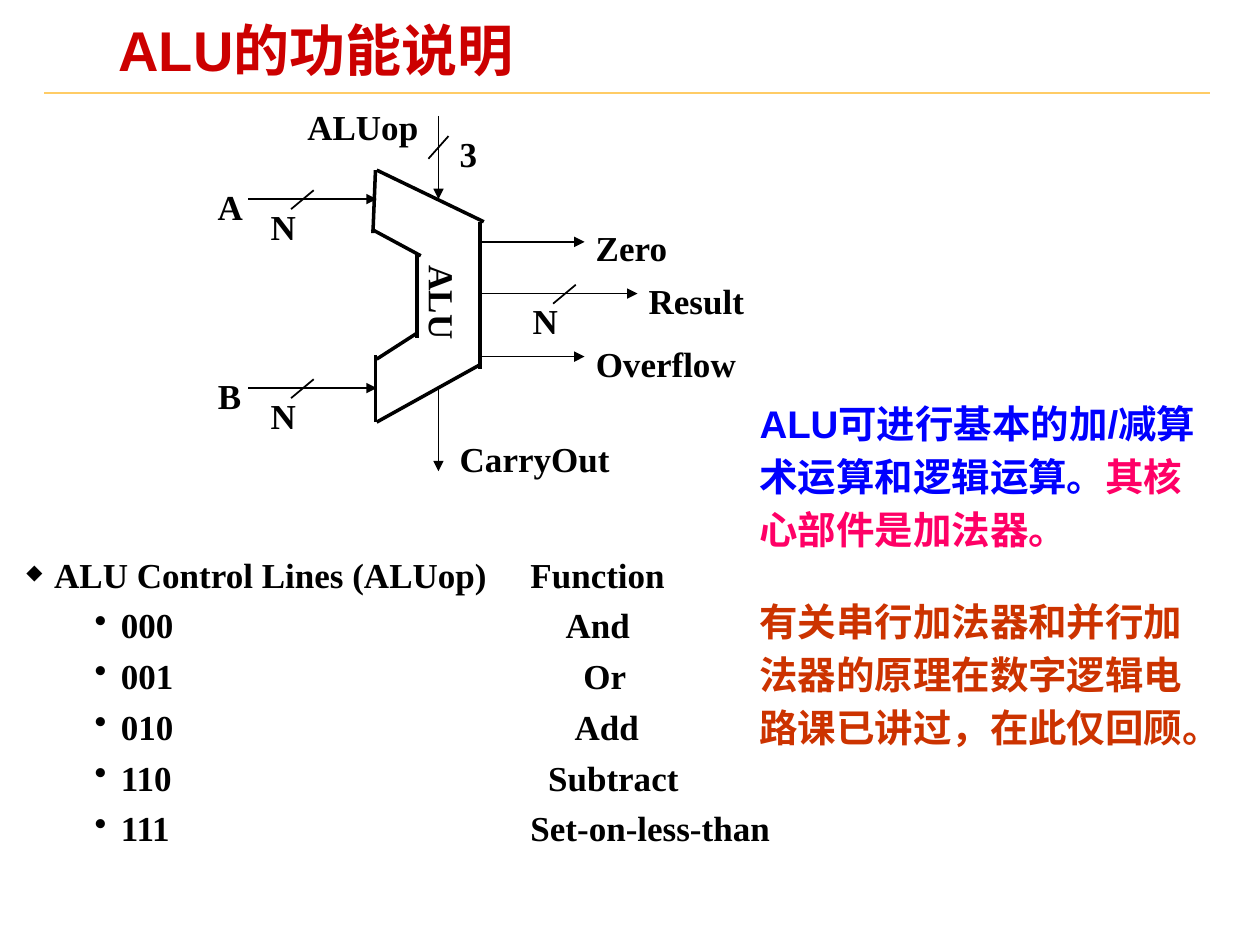
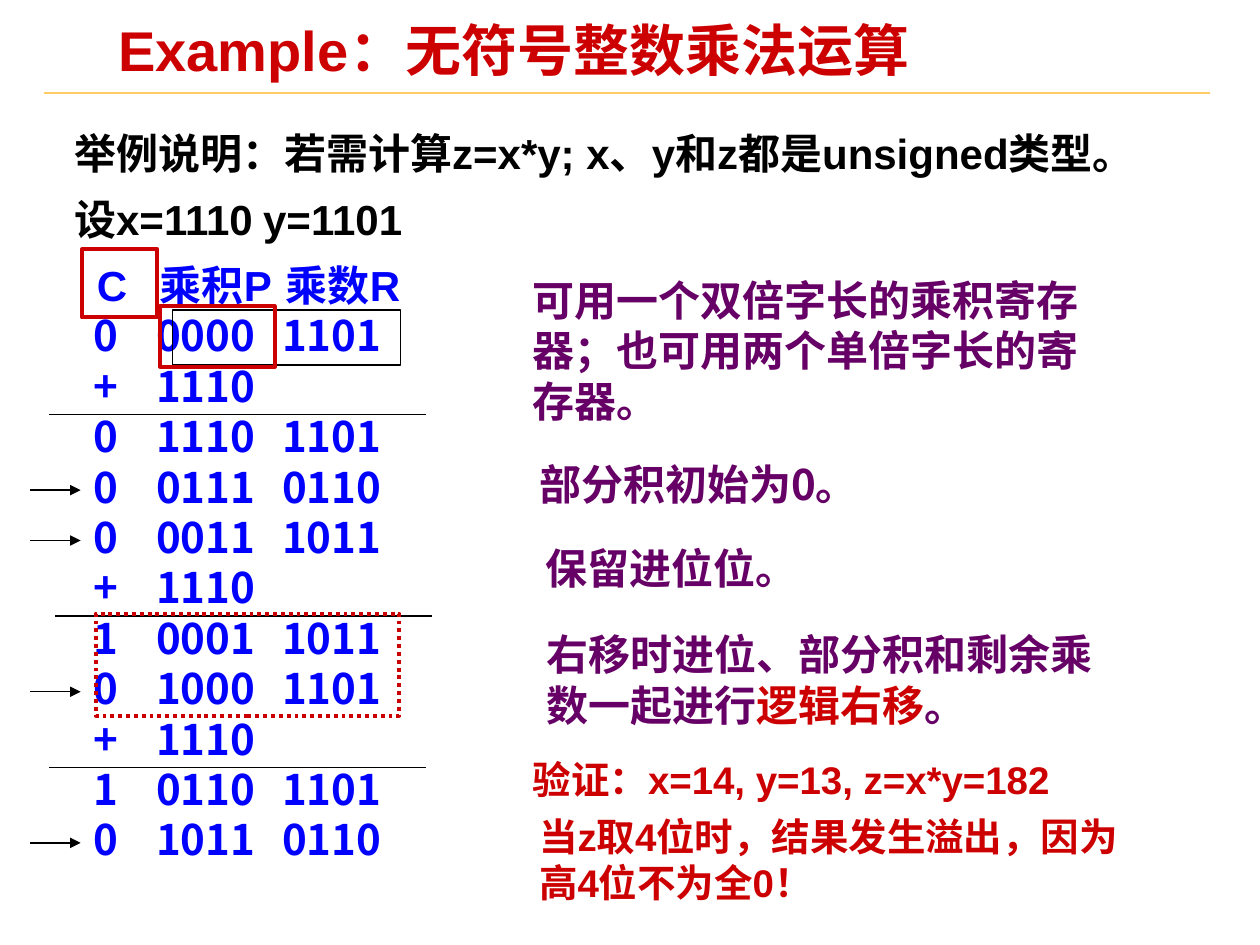
import pptx
import pptx.dml.color
import pptx.enum.dml
import pptx.enum.shapes
import pptx.oxml.ns
import pptx.util
from lxml import etree

RGB = pptx.dml.color.RGBColor
BLACK = RGB(0x00, 0x00, 0x00)
RED = RGB(0xCC, 0x00, 0x00)
BLUE = RGB(0x00, 0x00, 0xFF)
PINK = RGB(0xFF, 0x00, 0x66)
RUST = RGB(0xCC, 0x33, 0x00)
PURPLE = RGB(0x66, 0x00, 0x66)
GOLD = RGB(0xFF, 0xCC, 0x66)
SANS, SERIF, CJK = "Arial", "Times New Roman", "Noto Sans CJK SC"
Inches, Pt = pptx.util.Inches, pptx.util.Pt

# ---- Slide 1: ALU ----
ALU_TITLE = "ALU的功能说明"
FUNCTION_TAB, SPACE = 4.0, 0.07
# control lines, function, offset of the function in spaces
CONTROL_LINES = [
    ("ALU Control Lines (ALUop)", "Function", 0),
    ("000", "And", 4),
    ("001", "Or", 6),
    ("010", "Add", 5),
    ("110", "Subtract", 2),
    ("111", "Set-on-less-than", 0),
]
ALU_OUTLINE = [
    (2.98, 1.35, 2.96, 1.85), (2.99, 1.35, 3.84, 1.76),
    (2.95, 1.82, 3.34, 2.03), (3.31, 2.01, 3.31, 2.68),
    (3.81, 1.76, 3.81, 2.93), (2.98, 3.35, 2.98, 2.82),
    (2.99, 3.35, 3.80, 2.90), (2.99, 2.85, 3.30, 2.65),
]
SIGNALS = [
    (1.97, 1.58, 2.99, 1.58), (1.97, 3.08, 2.99, 3.08),
    (3.82, 1.92, 4.64, 1.92), (3.82, 2.33, 5.06, 2.33),
    (3.82, 2.83, 4.64, 2.83),
    (3.48, 0.92, 3.48, 1.58), (3.48, 3.09, 3.48, 3.74),
]
BUS_SLASHES = [
    (2.49, 1.51, 2.31, 1.66), (2.49, 3.01, 2.31, 3.16),
    (4.57, 2.26, 4.39, 2.41), (3.56, 1.08, 3.40, 1.26),
]
SIGNAL_LABELS = [  # text, left, top, width
    ("ALUop", 2.34, 0.79, 1.08), ("3", 3.55, 1.00, 0.34),
    ("A", 1.63, 1.42, 0.40), ("N", 2.05, 1.58, 0.40),
    ("B", 1.63, 2.92, 0.38), ("N", 2.05, 3.08, 0.40),
    ("Zero", 4.63, 1.75, 0.77), ("Result", 5.05, 2.17, 0.96),
    ("N", 4.13, 2.33, 0.40), ("Overflow", 4.63, 2.67, 1.31),
    ("CarryOut", 3.55, 3.42, 1.39),
]
ALU_NOTES = [
    [("ALU可进行基本的加/减算术运算和逻辑运算。", BLUE), ("其核心部件是加法器。", PINK)],
    [("有关串行加法器和并行加法器的原理在数字逻辑电路课已讲过，在此仅回顾。", RUST)],
]

# ---- Slide 2: multiplication ----
MULTIPLY_TITLE = "Example：无符号整数乘法运算"
# text, colour, space before, indent, tab stops
INTRO = [
    ("举例说明：若需计算z=x*y; x、y和z都是unsigned类型。", BLACK, 0, 0, []),
    ("设x=1110\ty=1101", BLACK, 9, 0, [1.87]),
    ("C\t乘积P\t乘数R", BLUE, 9, 0.18, [0.79, 2.10]),
]
STEPS = [
    "0\t0000\t1101", "+\t1110", "0\t1110\t1101", "0\t0111\t0110",
    "0\t0011\t1011", "+\t1110", "1\t0001\t1011", "0\t1000\t1101",
    "+\t1110", "1\t0110\t1101", "0\t1011\t0110",
]
STEP_TABS = [0.50, 1.43]
FIRST_STEP_Y, STEP_PITCH = 2.69, 0.40
SUM_RULES = {1: 0.39, 5: 0.44, 8: 0.39}  # step above the rule: left end
SHIFTED_STEPS = [3, 4, 7, 10]
REGISTER_BOXES = [  # left, top, width, height, colour, weight, dotted
    (1.37, 2.46, 1.81, 0.44, BLACK, 1, False),
    (1.27, 2.43, 0.91, 0.48, RED, 2.25, False),
    (0.65, 1.98, 0.60, 0.54, RED, 2.25, False),
    (0.76, 4.87, 2.41, 0.81, RED, 2.25, True),
]
MULTIPLY_NOTES = [  # box, size, font, runs
    ((4.13, 2.13, 4.53, 1.30), 24, SERIF,
     [("可用一个双倍字长的乘积寄存器；也可用两个单倍字长的寄存器。", PURPLE)]),
    ((4.18, 3.59, 3.49, 0.50), 24, CJK, [("部分积初始为0。", PURPLE)]),
    ((4.23, 4.26, 2.20, 0.50), 24, SERIF, [("保留进位位。", PURPLE)]),
    ((4.24, 4.94, 4.60, 0.90), 24, SERIF,
     [("右移时进位、部分积和剩余乘数一起进行", PURPLE), ("逻辑右移", RED), ("。", PURPLE)]),
    ((4.13, 5.95, 5.14, 0.47), 22, SANS, [("验证：x=14, y=13, z=x*y=182", RED)]),
    ((4.18, 6.40, 4.82, 0.84), 22, SANS,
     [("当z取4位时，结果发生溢出，因为高4位不为全0！", RED)]),
]


def sub(parent, tag, **attrs):
    return etree.SubElement(parent, pptx.oxml.ns.qn(tag), attrs)


def add_box(s, at, inset=(0.1, 0.05), wrap=True):
    sp = s.shapes.add_textbox(*map(Inches, at))
    tf = sp.text_frame
    tf.word_wrap = wrap
    tf.margin_left = tf.margin_right = Inches(inset[0])
    tf.margin_top = tf.margin_bottom = Inches(inset[1])
    return sp


def add_para(tf, runs, size, font, before=0, spacing=None, indent=0, hang=0,
             bullet=None, bullet_pct=100, tabs=()):
    """Append a bold paragraph made of (text, colour) runs."""
    first = not tf.text
    p = tf.paragraphs[0] if first else tf.add_paragraph()
    pPr = p._p.get_or_add_pPr()
    pPr.set("marL", str(Inches(indent)))
    pPr.set("indent", str(-Inches(hang)))
    if bullet:
        sub(sub(pPr, "a:buClr"), "a:srgbClr", val=str(BLACK))
        sub(pPr, "a:buSzPct", val=str(bullet_pct * 1000))
        sub(pPr, "a:buChar", char=bullet)
    if tabs:
        stops = sub(pPr, "a:tabLst")
        for tab in tabs:
            sub(stops, "a:tab", pos=str(Inches(tab)), algn="l")
    if before and not first:
        p.space_before = Pt(before)
    if spacing:
        p.line_spacing = spacing
    for text, colour in runs:
        r = p.add_run()
        r.text = text
        r.font.name, r.font.size, r.font.bold = font, Pt(size), True
        r.font.color.rgb = colour
        sub(r._r.get_or_add_rPr(), "a:ea", typeface=CJK)


def add_line(s, ends, width=1, colour=BLACK, arrow=False):
    line = s.shapes.add_connector(
        pptx.enum.shapes.MSO_CONNECTOR.STRAIGHT, *map(Inches, ends))
    line.line.color.rgb, line.line.width = colour, Pt(width)
    if arrow:
        sub(line.line._get_or_add_ln(), "a:tailEnd", type="triangle")
    sub(line._element.spPr, "a:effectLst")


def add_frame(s, left, top, width, height, colour, weight, dotted):
    sp = s.shapes.add_shape(pptx.enum.shapes.MSO_SHAPE.RECTANGLE,
                            *map(Inches, (left, top, width, height)))
    sp.shadow.inherit = False
    sp.fill.background()
    sp.line.color.rgb, sp.line.width = colour, Pt(weight)
    if dotted:
        sp.line.dash_style = pptx.enum.dml.MSO_LINE.ROUND_DOT


def new_slide(prs, title, title_width):
    s = prs.slides.add_slide(prs.slide_layouts[6])
    add_line(s, (0.35, 0.74, 9.6, 0.74), colour=GOLD)
    sp = add_box(s, (0.87, 0.17, title_width, 0.62), (0.07, 0.03))
    add_para(sp.text_frame, [(title, RED)], 32, SANS, spacing=0.87)
    return s


def build_alu(prs):
    s = new_slide(prs, ALU_TITLE, 5.39)
    tf = add_box(s, (0.14, 4.36, 6.53, 2.6), (0.07, 0.03)).text_frame
    for i, (code, function, offset) in enumerate(CONTROL_LINES):
        level = (dict(indent=0.75, hang=0.21, bullet="•") if i else
                 dict(indent=0.22, hang=0.22, bullet="◆", bullet_pct=60))
        add_para(tf, [(f"{code}\t{function}", BLACK)], 20, SERIF, before=5,
                 spacing=1.0, tabs=[FUNCTION_TAB + SPACE * offset], **level)

    for ends in ALU_OUTLINE:
        add_line(s, ends, 2)
    for ends in SIGNALS:
        add_line(s, ends, arrow=True)
    for ends in BUS_SLASHES:
        add_line(s, ends)
    for text, left, top, width in SIGNAL_LABELS + [("ALU", 3.12, 2.19, 0.79)]:
        sp = add_box(s, (left, top, width, 0.43), wrap=False)
        add_para(sp.text_frame, [(text, BLACK)], 20, SERIF)
    sp.rotation = 90  # the name inside the outline reads downwards

    tf = add_box(s, (5.93, 3.07, 3.78, 3.35)).text_frame
    for runs, font in zip(ALU_NOTES, (SANS, SERIF)):
        add_para(tf, runs, 22, font, before=22, spacing=1.15)


def build_multiply(prs):
    s = new_slide(prs, MULTIPLY_TITLE, 6.64)
    tf = add_box(s, (0.49, 0.96, 9.51, 5.95)).text_frame
    for text, colour, before, indent, tabs in INTRO:
        add_para(tf, [(text, colour)], 24, SANS, before, indent=indent, tabs=tabs)
    for step in STEPS:
        add_para(tf, [(step, BLUE)], 24, CJK, indent=0.15, tabs=STEP_TABS)

    for step, left in SUM_RULES.items():
        y = FIRST_STEP_Y + STEP_PITCH * (step + 0.5)
        add_line(s, (left, y, left + 2.99, y), 0.75)
    for step in SHIFTED_STEPS:
        y = FIRST_STEP_Y + STEP_PITCH * step
        add_line(s, (0.24, y, 0.64, y), 0.75, arrow=True)
    for box in REGISTER_BOXES:
        add_frame(s, *box)
    for at, size, font, runs in MULTIPLY_NOTES:
        add_para(add_box(s, at).text_frame, runs, size, font)


def main():
    prs = pptx.Presentation()
    prs.slide_width, prs.slide_height = Inches(10), Inches(7.5)
    build_alu(prs)
    build_multiply(prs)
    prs.save("out.pptx")


if __name__ == "__main__":
    main()
